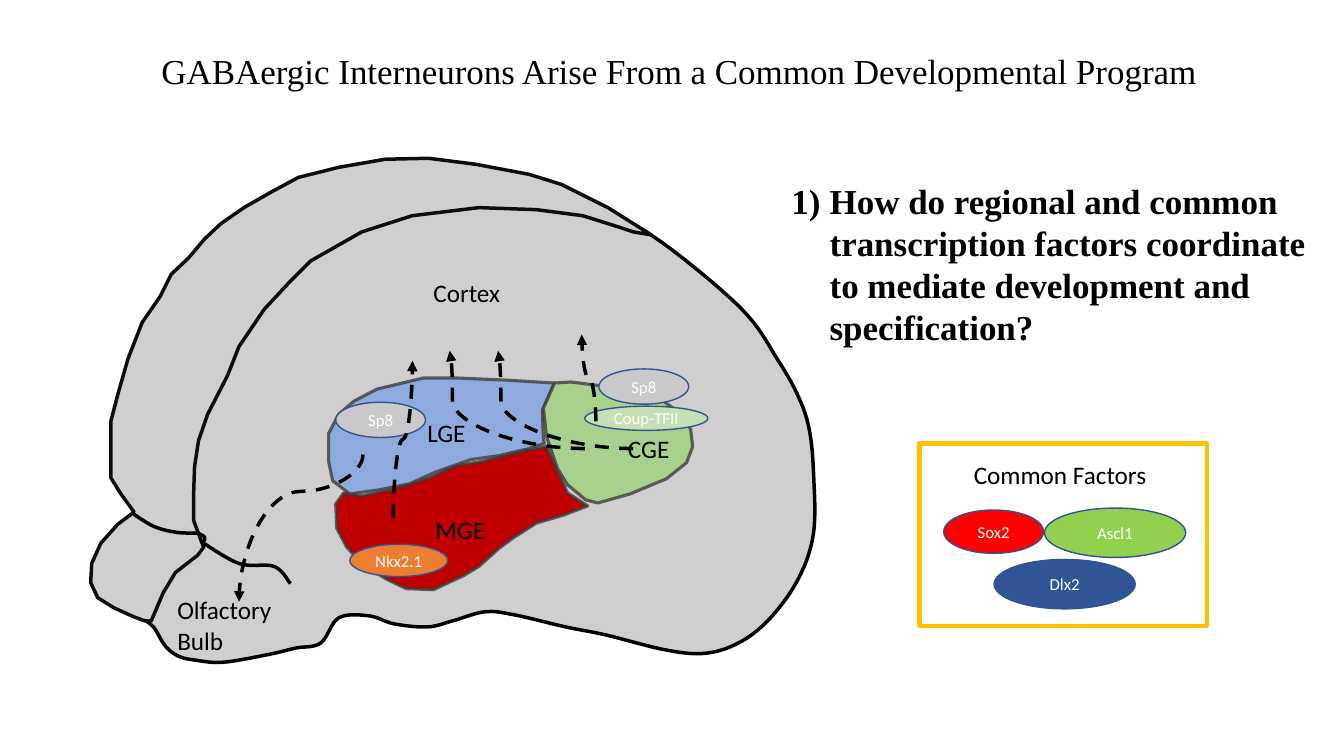
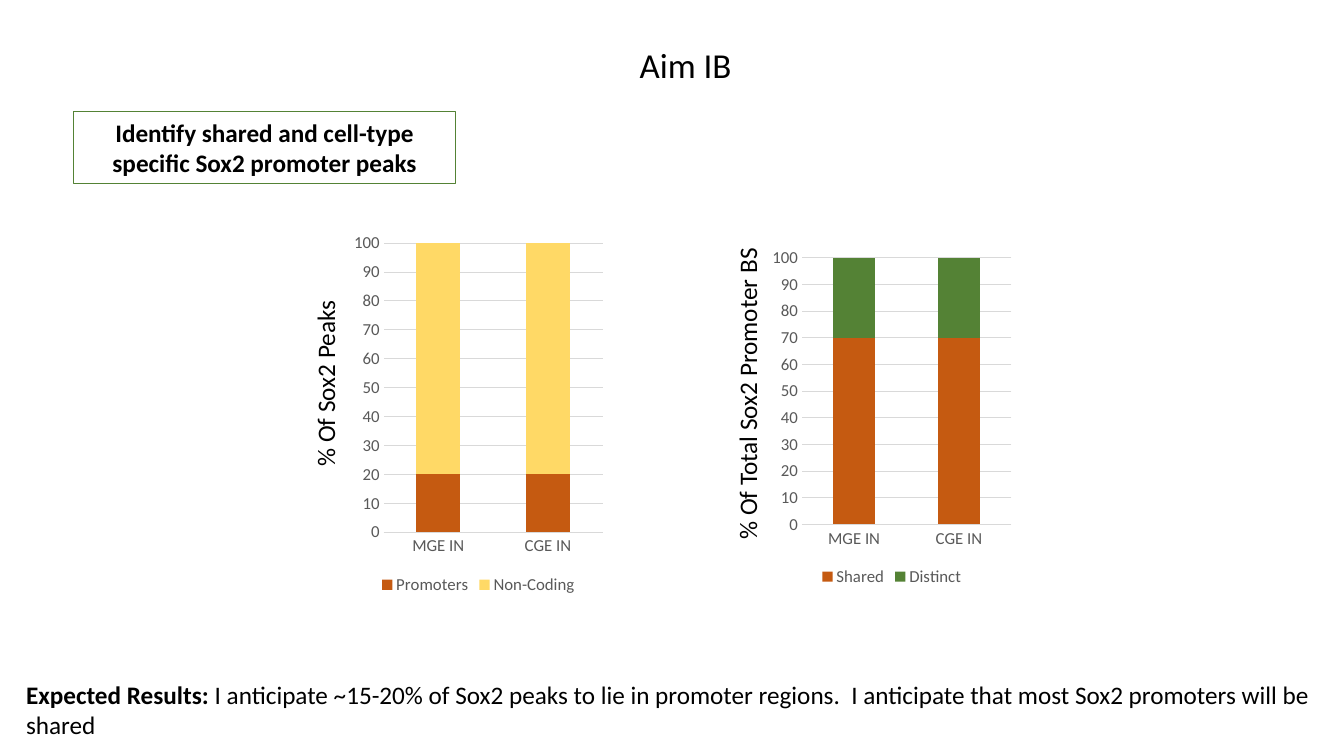
import math

import pptx
import pptx.chart.data
import pptx.dml.color
import pptx.enum.chart
import pptx.enum.dml
import pptx.enum.shapes
import pptx.enum.text
import pptx.oxml
import pptx.oxml.ns
import pptx.util

Inches = pptx.util.Inches
Pt = pptx.util.Pt
qn = pptx.oxml.ns.qn
ALIGN = pptx.enum.text.PP_ALIGN
ANCHOR = pptx.enum.text.MSO_ANCHOR
SHAPE = pptx.enum.shapes.MSO_SHAPE

COLOURS = {
    "black": "000000", "white": "FFFFFF", "tissue": "D0CECE", "ridge": "0D0D0D",
    "region_edge": "3B3838", "mge": "C00000", "lge": "8FAADC", "cge": "A9D18E",
    "factor_edge": "325491", "coup": "C5E0B4", "sp8": "C9C9C9", "nkx": "ED7D31",
    "sox2": "FF0000", "ascl1": "92D050", "dlx2": "2F5597", "frame": "FFC000",
    "orange": "C55A11", "yellow": "FFD966", "green": "548235",
    "axis_text": "595959", "grid": "D9D9D9",
}
SANS, SERIF = "Calibri", "Times New Roman"
TITLE_SIZE, BODY_SIZE, SMALL_SIZE = 25, 18, 12

# Outlines, in inches from the corner of the brain's box
HEMISPHERE = [
    (1.12, 3.87), (0.76, 4.17), (0.66, 4.36), (0.57, 4.52), (0.53, 4.63), (0.63, 4.73),
    (0.74, 4.91), (0.87, 5.01), (1.04, 5.05), (1.32, 5.07), (1.78, 4.99), (2.03, 4.93),
    (2.28, 4.88), (2.46, 4.63), (2.76, 4.61), (3.01, 4.69), (3.34, 4.72), (3.59, 4.66),
    (3.91, 4.57), (4.2, 4.6), (4.71, 4.72), (5.11, 4.8), (5.71, 4.95), (6.11, 4.98),
    (6.46, 4.86), (6.76, 4.61), (7.03, 4.22), (7.17, 3.78), (7.17, 3.21), (7.13, 2.78),
    (7.03, 2.46), (6.82, 2.08), (6.44, 1.55), (5.57, 0.84), (5.08, 0.66), (4.34, 0.52),
    (3.94, 0.49), (3.36, 0.5), (2.76, 0.69), (2.33, 0.9), (1.93, 1.23), (1.62, 1.6),
    (1.37, 1.98), (1.14, 2.43), (1.02, 2.81), (0.94, 3.12), (0.93, 3.35), (0.96, 3.57),
    (1.03, 3.76)]
FAR_HEMISPHERE = [
    (5.56, 0.83), (5.13, 0.56), (4.91, 0.45), (4.67, 0.33), (4.35, 0.23), (3.82, 0.13),
    (3.35, 0.07), (2.92, 0.08), (2.46, 0.16), (2.06, 0.26), (1.8, 0.4), (1.52, 0.56),
    (1.29, 0.72), (1.13, 0.87), (0.97, 1.06), (0.8, 1.22), (0.69, 1.44), (0.51, 1.7),
    (0.37, 2.06), (0.27, 2.41), (0.2, 2.68), (0.2, 3.24), (0.3, 3.4), (0.43, 3.58),
    (0.27, 3.7), (0.1, 3.89), (0.01, 4.09), (0, 4.28), (0.07, 4.43), (0.23, 4.53),
    (0.43, 4.62), (0.54, 4.66), (0.6, 4.66), (0.72, 4.38), (0.84, 4.18), (1.06, 4.01),
    (1.12, 3.93), (1.02, 3.66), (1.02, 3.43), (1.03, 3.13), (1.07, 2.87), (1.16, 2.61),
    (1.36, 2.22), (1.47, 1.94), (1.72, 1.57), (1.98, 1.29), (2.18, 1.09), (2.69, 0.8),
    (3.19, 0.64), (3.85, 0.56), (4.42, 0.58), (4.88, 0.64), (5.23, 0.75), (5.38, 0.8)]
FOLDS = [
    [(1.09, 3.87), (1.47, 4.09), (1.82, 4.12), (1.98, 4.29)],
    [(0.41, 3.59), (0.62, 3.72), (0.84, 3.78), (1.06, 3.79)]]
REGIONS = {
    "mge": [
        (2.51, 3.39), (2.43, 3.5), (2.44, 3.74), (2.54, 3.93), (2.7, 4.1), (2.94, 4.25),
        (3.13, 4.34), (3.4, 4.35), (3.7, 4.21), (3.85, 4.12), (4.05, 3.94), (4.2, 3.83),
        (4.42, 3.69), (4.69, 3.61), (4.93, 3.52), (4.73, 3.39), (4.59, 3.08), (4.52, 2.93),
        (4.26, 2.98), (3.87, 3.08), (3.62, 3.12), (3.36, 3.24), (2.97, 3.36), (2.69, 3.42)],
    "lge": [
        (4.6, 2.3), (4.1, 2.27), (3.63, 2.25), (3.3, 2.25), (2.84, 2.36), (2.61, 2.48),
        (2.46, 2.61), (2.36, 2.8), (2.36, 3.08), (2.4, 3.27), (2.57, 3.4), (2.86, 3.36),
        (3.16, 3.3), (3.43, 3.18), (3.77, 3.06), (4.05, 3.02), (4.35, 2.95), (4.5, 2.9),
        (4.49, 2.85), (4.48, 2.57)],
    "cge": [
        (4.6, 2.3), (4.49, 2.55), (4.52, 2.83), (4.63, 3.15), (4.73, 3.31), (4.91, 3.46),
        (5.03, 3.49), (5.35, 3.4), (5.71, 3.25), (5.91, 3.09), (5.97, 2.93), (5.95, 2.76),
        (5.86, 2.61), (5.68, 2.48), (5.51, 2.39), (5.29, 2.33), (5.08, 2.33), (4.76, 2.29)],
}


def rgb(name):
    return pptx.dml.color.RGBColor.from_string(COLOURS[name])


def set_all(target, values):
    for key, value in values.items():
        setattr(target, key, value)


def set_font(font, size, colour="black", name=SANS, bold=False):
    set_all(font, {"size": Pt(size), "name": name, "bold": bold})
    font.color.rgb = rgb(colour)


def set_look(shape, fill, edge, width):
    shape.shadow.inherit = False
    if fill:
        shape.fill.solid()
        shape.fill.fore_color.rgb = rgb(fill)
    else:
        shape.fill.background()
    shape.line.color.rgb = rgb(edge)
    shape.line.width = Pt(width)


def write(shape, runs, size=BODY_SIZE, colour="black", name=SANS,
          align=ALIGN.LEFT, anchor=ANCHOR.TOP):
    """Fill a shape with one paragraph of (text, bold) runs."""
    frame = shape.text_frame
    set_all(frame, {"word_wrap": True, "vertical_anchor": anchor,
                    "auto_size": pptx.enum.text.MSO_AUTO_SIZE.NONE})
    paragraph = frame.paragraphs[0]
    paragraph.alignment = align
    for text, bold in runs:
        run = paragraph.add_run()
        run.text = text
        set_font(run.font, size, colour, name, bold)
    return paragraph


def add_label(slide, box, text, bold=False, **style):
    label = slide.shapes.add_textbox(*map(Inches, box))
    write(label, [(text, bold)], **style)
    return label


def add_title(slide, box, text, name):
    title = slide.shapes.title
    set_all(title, dict(zip(("left", "top", "width", "height"), map(Inches, box))))
    paragraph = write(title, [(text, False)], TITLE_SIZE, name=name,
                      align=ALIGN.CENTER, anchor=ANCHOR.MIDDLE)
    paragraph.line_spacing = 0.9


def add_factor(slide, box, text, fill):
    factor = slide.shapes.add_shape(SHAPE.OVAL, *map(Inches, box))
    set_look(factor, fill, "factor_edge", 1)
    write(factor, [(text, False)], SMALL_SIZE, "white", align=ALIGN.CENTER, anchor=ANCHOR.MIDDLE)


def smooth(points, closed, steps=8):
    """Catmull-Rom curve through the points."""
    count = len(points)

    def at(index):
        return points[index % count if closed else min(max(index, 0), count - 1)]

    curve = []
    for i in range(count if closed else count - 1):
        a, b, c, d = (at(i + k) for k in (-1, 0, 1, 2))
        for step in range(steps):
            t = step / steps
            curve.append(tuple(
                q + t * (r - p + t * (2 * p - 5 * q + 4 * r - s + t * (3 * q - p - 3 * r + s))) / 2
                for p, q, r, s in zip(a, b, c, d)))
    return curve if closed else curve + [points[-1]]


def add_outline(slide, left, top, points, fill, edge, width, closed=True, alpha=None):
    spots = [(Inches(left + x), Inches(top + y)) for x, y in points]
    builder = slide.shapes.build_freeform(*spots[0], scale=1.0)
    builder.add_line_segments(spots[1:], close=closed)
    outline = builder.convert_to_shape()
    set_look(outline, fill, edge, width)
    if alpha:
        tint = outline.line._ln.find(".//" + qn("a:srgbClr"))
        tint.append(pptx.oxml.parse_xml(
            f'<a:alpha {pptx.oxml.ns.nsdecls("a")} val="{alpha * 1000}"/>'))


def add_migration(slide, start, end, turn, bend):
    """Curved dashed arrow whose box is turned by a number of degrees."""
    (x1, y1), (x2, y2) = start, end
    angle = math.radians(turn)
    dx, dy = x2 - x1, y2 - y1
    across = (dx * math.cos(angle) + dy * math.sin(angle)) / 2
    down = (dy * math.cos(angle) - dx * math.sin(angle)) / 2
    mid_x, mid_y = (x1 + x2) / 2, (y1 + y2) / 2
    arrow = slide.shapes.add_connector(
        pptx.enum.shapes.MSO_CONNECTOR.CURVE, Inches(mid_x - across), Inches(mid_y - down),
        Inches(mid_x + across), Inches(mid_y + down))
    arrow.line.color.rgb = rgb("black")
    set_all(arrow.line, {"width": Pt(2.5), "dash_style": pptx.enum.dml.MSO_LINE.DASH})
    names = pptx.oxml.ns.nsdecls("a")
    properties = arrow._element.spPr
    properties.find(qn("a:xfrm")).set("rot", str(turn * 60000))
    properties.find(qn("a:prstGeom")).find(qn("a:avLst")).append(pptx.oxml.parse_xml(
        f'<a:gd {names} name="adj1" fmla="val {round(bend * 100000)}"/>'))
    arrow.line._ln.append(pptx.oxml.parse_xml(f'<a:tailEnd {names} type="triangle"/>'))
    properties.append(pptx.oxml.parse_xml(f"<a:effectLst {names}/>"))


def add_brain(slide, left, top):
    # Tissue
    add_outline(slide, left, top, smooth(HEMISPHERE, True), "tissue", "black", 2.5)
    add_outline(slide, left, top, FAR_HEMISPHERE, "tissue", "ridge", 2.5)
    for fold in FOLDS:
        add_outline(slide, left, top, smooth(fold, False), None, "black", 2.5, closed=False)
    for region, points in REGIONS.items():
        add_outline(slide, left, top, points, region, "region_edge", 2.25, alpha=76)
    # Region names
    for text, x, y, width, height in (
            ("CGE", 5.23, 2.75, 0.89, 0.4), ("LGE", 3.24, 2.59, 0.89, 0.4),
            ("MGE", 3.32, 3.55, 0.89, 0.4), ("Cortex", 3.3, 1.2, 1.2, 0.4),
            ("Olfactory Bulb", 0.76, 4.35, 1.38, 0.71)):
        add_label(slide, (left + x, top + y, width, height), text)
    # Regional factors
    for text, fill, x, y, width, height in (
            ("Coup-TFII", "coup", 4.9, 2.53, 1.22, 0.24), ("Sp8", "sp8", 2.43, 2.49, 0.89, 0.35),
            ("Sp8", "sp8", 5.04, 2.16, 0.89, 0.35), ("Nkx2.1", "nkx", 2.57, 3.9, 0.97, 0.32)):
        add_factor(slide, (left + x, top + y, width, height), text, fill)
    # Migration routes
    for x1, y1, x2, y2, turn, bend in (
            (3, 3.64, 3.19, 2.08, 90, 0.5), (5.01, 2.68, 4.87, 1.82, 270, 0.5),
            (5.38, 2.95, 4.04, 1.98, 180, 0.98), (4.9, 2.95, 3.56, 1.98, 180, 0.98),
            (2.7, 3.01, 1.47, 4.47, 90, 0.25)):
        add_migration(slide, (left + x1, top + y1), (left + x2, top + y2), turn, bend)


def add_common_factors(slide, left, top, width, height):
    frame = slide.shapes.add_shape(SHAPE.RECTANGLE, *map(Inches, (left, top, width, height)))
    set_look(frame, None, "frame", 3)
    add_label(slide, (left + 0.44, top + 0.11, 2, 0.4), "Common Factors")
    for text, x, y, oval_width, oval_height in (
            ("Sox2", 0.24, 0.66, 0.99, 0.43), ("Ascl1", 1.24, 0.64, 1.4, 0.49),
            ("Dlx2", 0.74, 1.15, 1.4, 0.49)):
        add_factor(slide, (left + x, top + y, oval_width, oval_height), text, text.lower())


def add_question(slide, box, text):
    question = slide.shapes.add_textbox(*map(Inches, box))
    paragraph = write(question, [(text, True)], TITLE_SIZE, name=SERIF)
    numbering = paragraph._p.get_or_add_pPr()
    numbering.set("marL", str(Inches(0.38)))
    numbering.set("indent", str(-Inches(0.38)))
    numbering.append(pptx.oxml.parse_xml(
        f'<a:buAutoNum {pptx.oxml.ns.nsdecls("a")} type="arabicParenR"/>'))
    set_font(paragraph.font, TITLE_SIZE, name=SERIF, bold=True)


def add_peak_chart(slide, box, series, caption, caption_box, align):
    data = pptx.chart.data.CategoryChartData()
    data.categories = ["MGE IN", "CGE IN"]
    for name, share, _ in series:
        data.add_series(name, [share, share])
    chart = slide.shapes.add_chart(
        pptx.enum.chart.XL_CHART_TYPE.COLUMN_STACKED, *map(Inches, box), data).chart
    set_all(chart, {"has_title": False, "has_legend": True})
    set_font(chart.font, SMALL_SIZE, "axis_text")
    set_all(chart.legend, {"position": pptx.enum.chart.XL_LEGEND_POSITION.BOTTOM,
                           "include_in_layout": False})
    plot = chart.plots[0]
    set_all(plot, {"gap_width": 150, "overlap": 100, "vary_by_categories": False})
    for bars, (_, _, colour) in zip(plot.series, series):
        bars.format.fill.solid()
        bars.format.fill.fore_color.rgb = rgb(colour)
    # Axes
    shares = chart.value_axis
    set_all(shares, {"minimum_scale": 0, "maximum_scale": 100, "major_unit": 10,
                     "has_major_gridlines": True})
    shares.format.line.fill.background()
    for axis in (chart.category_axis, shares):
        axis.major_tick_mark = pptx.enum.chart.XL_TICK_MARK.NONE
        set_font(axis.tick_labels.font, SMALL_SIZE, "axis_text")
    for rule in (chart.category_axis.format.line, shares.major_gridlines.format.line):
        rule.color.rgb = rgb("grid")
        rule.width = Pt(0.75)
    # Turned caption
    add_label(slide, caption_box, caption, align=align).rotation = 270


def build_program_slide(slide):
    add_title(slide, (0.92, 0, 11.63, 1.45),
              "GABAergic Interneurons Arise From a Common Developmental Program", SERIF)
    add_brain(slide, 0.9, 1.5)
    add_question(slide, (7.75, 1.73, 5.31, 1.78),
                 "How do regional and common transcription factors coordinate "
                 "to mediate development and specification?")
    add_common_factors(slide, 9.12, 4.4, 2.85, 1.81)


def build_aim_slide(slide):
    add_title(slide, (0.61, 0.41, 12.38, 0.52), "Aim IB", SANS)
    goal = add_label(slide, (0.73, 1.11, 3.79, 0.71),
                     "Identify shared and cell-type specific Sox2 promoter peaks",
                     bold=True, align=ALIGN.CENTER)
    set_look(goal, None, "green", 0.75)
    add_peak_chart(slide, (3.46, 2.24, 2.57, 3.7),
                   [("Promoters", 20, "orange"), ("Non-Coding", 80, "yellow")],
                   "% Of Sox2 Peaks", (1.69, 3.61, 3.06, 0.39), ALIGN.CENTER)
    add_peak_chart(slide, (7.61, 2.39, 2.47, 3.47),
                   [("Shared", 70, "orange"), ("Distinct", 30, "green")],
                   "% Of Total Sox2 Promoter BS", (5.84, 3.68, 3.14, 0.4), ALIGN.LEFT)
    results = slide.shapes.add_textbox(*map(Inches, (0.16, 6.69, 13, 0.71)))
    write(results, [("Expected Results:", True),
                    (" I anticipate ~15-20% of Sox2 peaks to lie in promoter regions.  "
                     "I anticipate that most Sox2 promoters will be shared", False)])


def main():
    deck = pptx.Presentation()
    set_all(deck, {"slide_width": Inches(13.33), "slide_height": Inches(7.5)})
    for build in (build_program_slide, build_aim_slide):
        build(deck.slides.add_slide(deck.slide_layouts[5]))
    deck.save("out.pptx")


if __name__ == "__main__":
    main()
